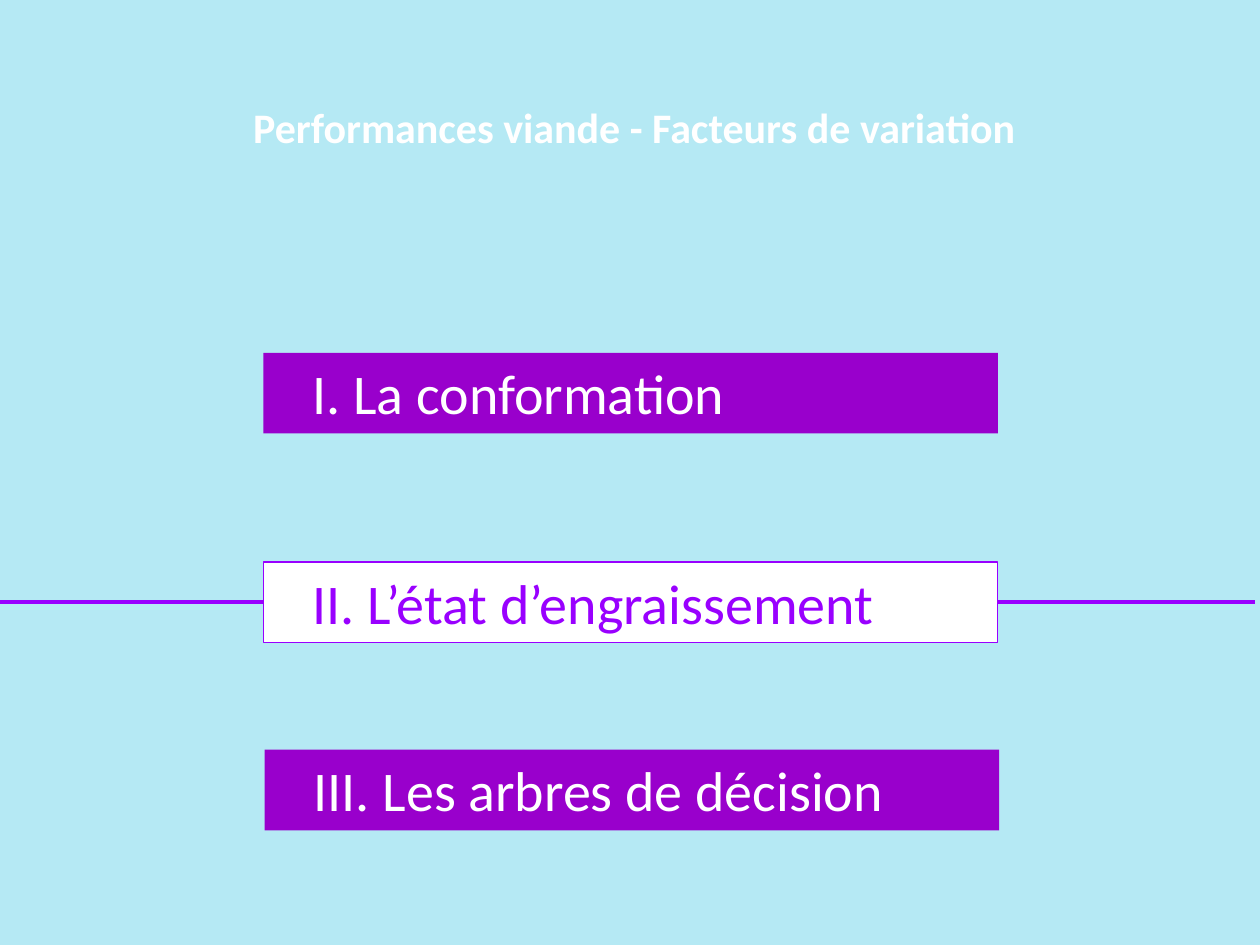
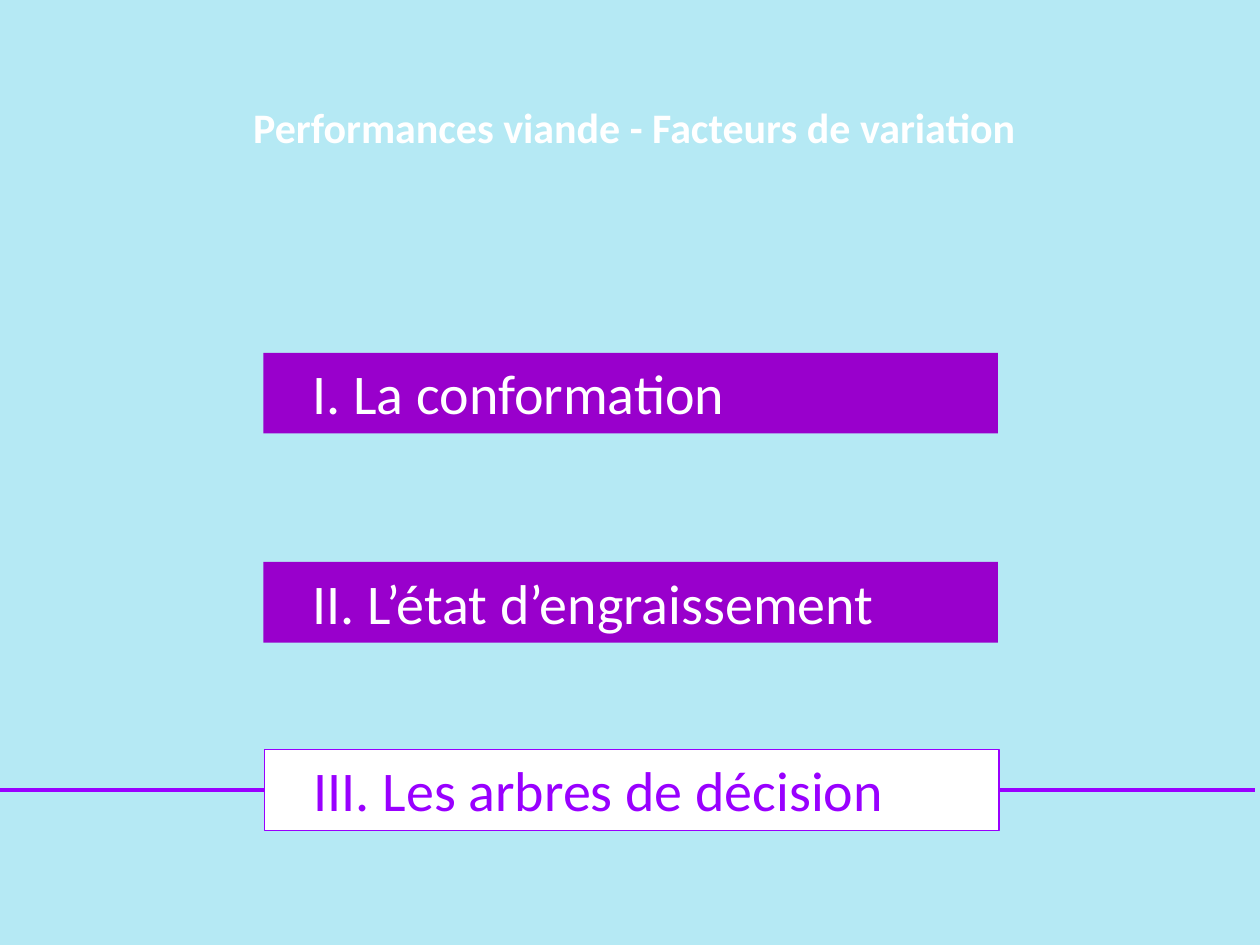
"""Build two section divider slides, each with its current section highlighted."""
from dataclasses import dataclass

import pptx
import pptx.dml.color
import pptx.enum.shapes
import pptx.enum.text
import pptx.util
from lxml import etree
from pptx.oxml.ns import qn
from pptx.util import Inches

FONT = "Calibri"
SKY = "B5E9F4"
PURPLE = "9900CC"
VIOLET = "9900FF"
WHITE = "FFFFFF"
TITLE = "Performances viande - Facteurs de variation"
BAR_WIDTH = 5.83
BAR_HEIGHT = 0.64


@dataclass(frozen=True)
class Section:
    """A section bar of the outline, placed in inches."""
    text: str
    left: float
    top: float


SECTIONS = (
    Section("I. La conformation", 2.09, 2.8),
    Section("II. L’état d’engraissement", 2.09, 4.46),
    Section("III. Les arbres de décision", 2.1, 5.95),
)
CURRENT_SECTIONS = SECTIONS[1:]


def rgb(value: str) -> pptx.dml.color.RGBColor:
    """Return the colour of a hex string."""
    return pptx.dml.color.RGBColor.from_string(value)


def write(tf, text: str, size: int, color: str, align, bold: bool = False) -> None:
    """Set one paragraph of text and format its run."""
    tf.text = text
    p = tf.paragraphs[0]
    p.alignment = align
    r = p.runs[0]
    r.font.name = FONT
    r.font.size = pptx.util.Pt(size)
    r.font.bold = bold
    r.font.color.rgb = rgb(color)


def add_rect(s, left: float, top: float, width: float, height: float, fill: str):
    """Add a plain rectangle without outline or shadow."""
    sp = s.shapes.add_shape(pptx.enum.shapes.MSO_SHAPE.RECTANGLE, Inches(left),
                            Inches(top), Inches(width), Inches(height))
    sp.shadow.inherit = False
    sp.fill.solid()
    sp.fill.fore_color.rgb = rgb(fill)
    sp.line.fill.background()
    return sp


def add_title(s) -> None:
    """Add the centred title."""
    sp = s.shapes.add_textbox(Inches(0), Inches(0.76), Inches(10), Inches(0.52))
    tf = sp.text_frame
    tf.word_wrap = True
    tf.margin_left = Inches(0.17)
    write(tf, TITLE, 24, WHITE, pptx.enum.text.PP_ALIGN.CENTER, bold=True)


def add_marker(s, section: Section) -> None:
    """Add the line that runs behind the current section."""
    y = Inches(section.top + BAR_HEIGHT / 2)
    line = s.shapes.add_connector(pptx.enum.shapes.MSO_CONNECTOR.STRAIGHT,
                                  Inches(0), y, Inches(9.96), y)
    line.line.color.rgb = rgb(VIOLET)
    line.line.width = pptx.util.Pt(2.25)
    etree.SubElement(line._element.spPr, qn("a:effectLst"))


def add_bar(s, section: Section, current: bool) -> None:
    """Add a section bar, inverted and outlined when it is current."""
    sp = add_rect(s, section.left, section.top, BAR_WIDTH, BAR_HEIGHT,
                  WHITE if current else PURPLE)
    if current:
        sp.line.color.rgb = rgb(VIOLET)
        sp.line.width = pptx.util.Pt(0.75)
    tf = sp.text_frame
    tf.word_wrap = True
    tf.margin_left = Inches(0.39)
    tf.vertical_anchor = pptx.enum.text.MSO_ANCHOR.TOP
    write(tf, section.text, 32, VIOLET if current else WHITE,
          pptx.enum.text.PP_ALIGN.LEFT)


def add_outline_slide(prs, current: Section) -> None:
    """Add the outline slide that highlights one section."""
    s = prs.slides.add_slide(prs.slide_layouts[6])
    add_rect(s, 0, 0, 10, 7.5, SKY)
    add_marker(s, current)
    add_title(s)
    for section in SECTIONS:
        add_bar(s, section, section == current)


def main() -> None:
    """Build and save the presentation."""
    prs = pptx.Presentation()
    prs.slide_width = Inches(10)
    prs.slide_height = Inches(7.5)
    for section in CURRENT_SECTIONS:
        add_outline_slide(prs, section)
    prs.save("out.pptx")


if __name__ == "__main__":
    main()
